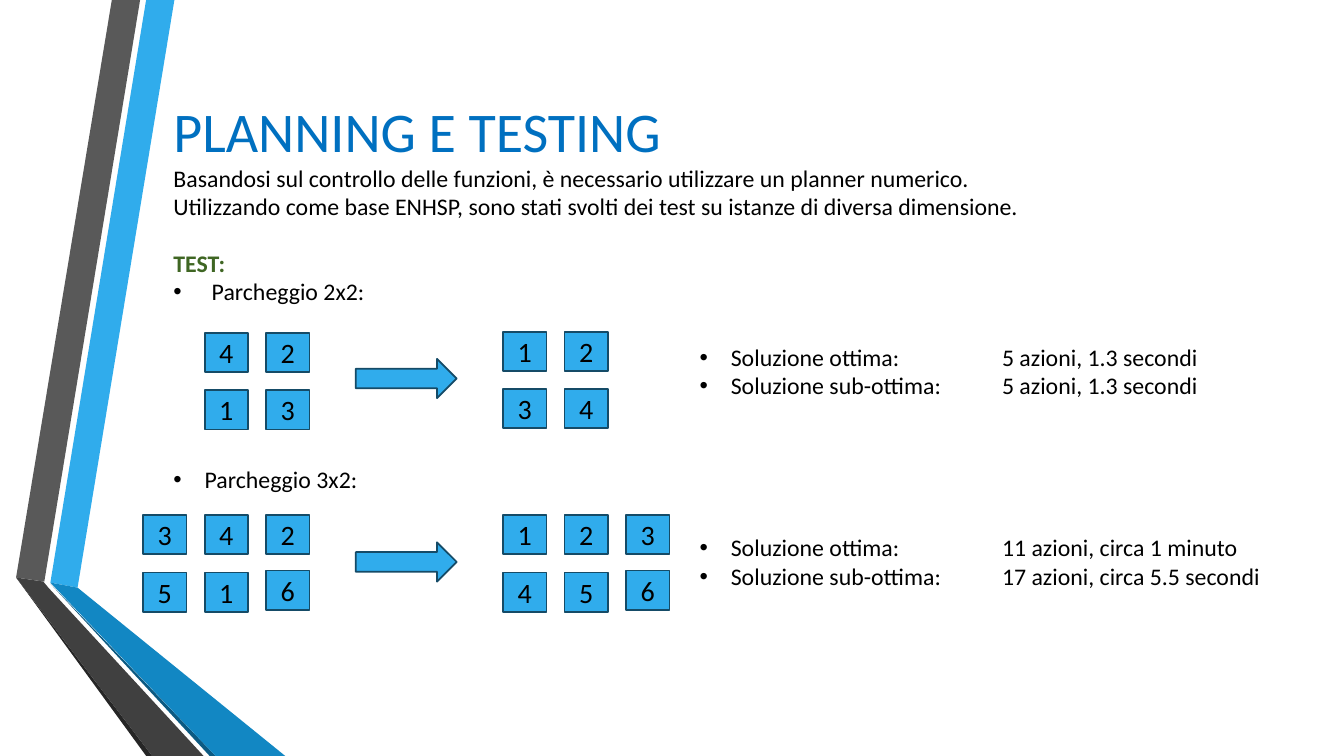
from lxml.etree import SubElement as Sub
from pptx import Presentation
from pptx.dml.color import RGBColor as RGB
from pptx.enum.shapes import MSO_SHAPE as Kind
from pptx.enum.text import MSO_ANCHOR as Anchor, MSO_AUTO_SIZE as Auto, PP_ALIGN as Align
from pptx.oxml.ns import qn
from pptx.util import Inches, Pt

HUES = {"title": "0070C0", "text": "000000", "test": "3F6623", "tile": "30ACEC",
        "edge": "154B67", "gray": "595959", "dark": "404040", "shade": "262626",
        "blue": "1287C3", "navy": "0C5A82"}

RIBBONS = [
    ("tile", [(0.5, 5.78), (0.77, 5.83), (1.73, 0), (1.45, 0)]),
    ("gray", [(1.39, 0), (1.11, 0), (0.16, 5.73), (0.44, 5.77)]),
    ("shade", [(0.16, 5.73), (1.45, 7.5), (1.51, 7.5)]),
    ("navy", [(0.5, 5.79), (2.08, 7.5), (2.14, 7.5)]),
    ("blue", [(0.5, 5.78), (2.14, 7.5), (2.83, 7.5), (0.77, 5.83)]),
    ("dark", [(2.02, 7.5), (0.48, 5.83), (0.43, 5.77), (0.16, 5.73), (1.51, 7.5)]),
]

BODY = [
    ("Basandosi sul controllo delle funzioni, è necessario utilizzare un planner numerico.", {}),
    ("Utilizzando come base ENHSP, sono stati svolti dei test su istanze di diversa dimensione.", {}),
    ("TEST:", {"gap": 20, "hue": "test", "bold": True}),
    ("Parcheggio 2x2:", {"hang": 0.38}),
    ("Parcheggio 3x2:", {"hang": 0.31, "gap": 113.5}),
]

TESTS = [
    {"start": (2.03, 3.3, ["42", "13"]), "goal": (4.99, 3.29, ["12", "34"]), "arrow": 3.56,
     "note": (3.35, 5.6, "5 azioni, 1.3 secondi", "5 azioni, 1.3 secondi")},
    {"start": (1.42, 5.11, ["342", "516"]), "goal": (4.99, 5.11, ["123", "456"]), "arrow": 5.38,
     "note": (5.24, 6.33, "11 azioni, circa 1 minuto", "17 azioni, circa 5.5 secondi")},
]


class Deck:
    """Holds the style and the current slide, and draws each kind of element."""

    def __init__(self):
        self.prs = Presentation()
        self.prs.slide_width, self.prs.slide_height = Inches(13.33), Inches(7.5)
        self.slide = self.prs.slides.add_slide(self.prs.slide_layouts[1])
        self.shapes = self.slide.shapes

    def style(self, font, size, hue="text", bold=False):
        for name, value in {"name": "Calibri", "size": Pt(size), "bold": bold}.items():
            setattr(font, name, value)
        font.color.rgb = RGB.from_string(HUES[hue])

    def place(self, shape, *box):
        for name, value in zip(("left", "top", "width", "height"), box):
            setattr(shape, name, Inches(value))

    def paint(self, shape, hue, edge=None):
        shape.shadow.inherit = False
        shape.fill.solid()
        shape.fill.fore_color.rgb = RGB.from_string(HUES[hue])
        if edge:
            shape.line.color.rgb = RGB.from_string(HUES[edge])
            shape.line.width = Pt(1.25)
        else:
            shape.line.fill.background()

    def ribbon(self, rank, hue, points):
        spots = [(Inches(x), Inches(y)) for x, y in points]
        pen = self.shapes.build_freeform(*spots[0])
        pen.add_line_segments(spots[1:])
        shape = pen.convert_to_shape()
        self.paint(shape, hue)
        self.shapes._spTree.insert(2 + rank, shape._element)

    def title(self, text, *box):
        head = self.shapes.title
        self.place(head, *box)
        frame = head.text_frame
        frame.text = text
        frame.vertical_anchor = Anchor.MIDDLE
        frame.paragraphs[0].alignment = Align.LEFT
        self.style(frame.paragraphs[0].font, 40, "title")

    def lines(self, frame, items):
        frame.word_wrap, frame.auto_size = True, Auto.NONE
        for rank, (text, look) in enumerate(items):
            para = frame.add_paragraph() if rank else frame.paragraphs[0]
            para.text = text
            hang = Inches(look.get("hang", 0))
            props = para._p.get_or_add_pPr()
            props.set("marL", str(hang))
            props.set("indent", str(-hang))
            if hang:
                Sub(props, qn("a:buFont"), typeface="Arial")
                Sub(props, qn("a:buChar"), char="•")
            else:
                Sub(props, qn("a:buNone"))
            if "tab" in look:
                tabs = Sub(props, qn("a:tabLst"))
                Sub(tabs, qn("a:tab"), pos=str(Inches(look["tab"])), algn="l")
            para.space_before = Pt(look.get("gap", 0))
            self.style(para.font, 17, look.get("hue", "text"), look.get("bold", False))

    def body(self, items, *box):
        holder = self.slide.placeholders[1]
        self.place(holder, *box)
        self.lines(holder.text_frame, items)

    def note(self, top, width, best, sub):
        box = self.shapes.add_textbox(*map(Inches, (6.84, top, width, 0.67)))
        look = {"hang": 0.31, "tab": 3}
        self.lines(box.text_frame, [("Soluzione ottima:\t" + best, look),
                                    ("Soluzione sub-ottima:\t" + sub, look)])

    def tile(self, left, top, text):
        shape = self.shapes.add_shape(Kind.RECTANGLE, *map(Inches, (left, top, 0.43, 0.39)))
        self.paint(shape, "tile", "edge")
        frame = shape.text_frame
        frame.text = text
        frame.vertical_anchor = Anchor.MIDDLE
        frame.paragraphs[0].alignment = Align.CENTER
        self.style(frame.paragraphs[0].font, 20)

    def grid(self, left, top, rows):
        for row, digits in enumerate(rows):
            for col, digit in enumerate(digits):
                step = 0.55 if col == 2 else 0.57
                self.tile(left + col * 0.61, top + row * step, digit)

    def arrow(self, top):
        shape = self.shapes.add_shape(Kind.RIGHT_ARROW, *map(Inches, (3.53, top, 1, 0.39)))
        self.paint(shape, "tile", "edge")


def main():
    deck = Deck()
    for rank, (hue, points) in enumerate(RIBBONS):
        deck.ribbon(rank, hue, points)
    deck.title("PLANNING E TESTING", 1.62, 0.33, 10.96, 1.92)
    deck.body(BODY, 1.62, 1.57, 11.36, 4.27)
    for test in TESTS:
        deck.grid(*test["start"])
        deck.arrow(test["arrow"])
        deck.grid(*test["goal"])
        deck.note(*test["note"])
    deck.prs.save("out.pptx")


if __name__ == "__main__":
    main()
